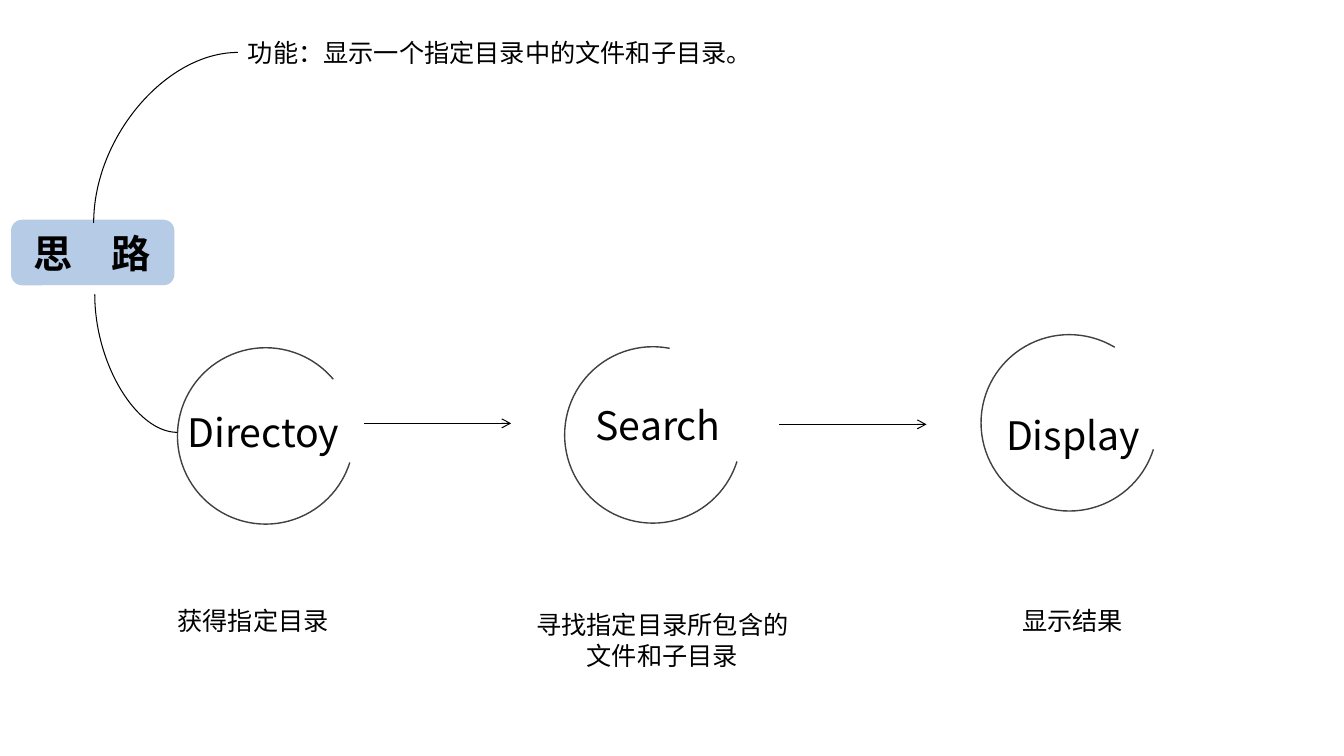
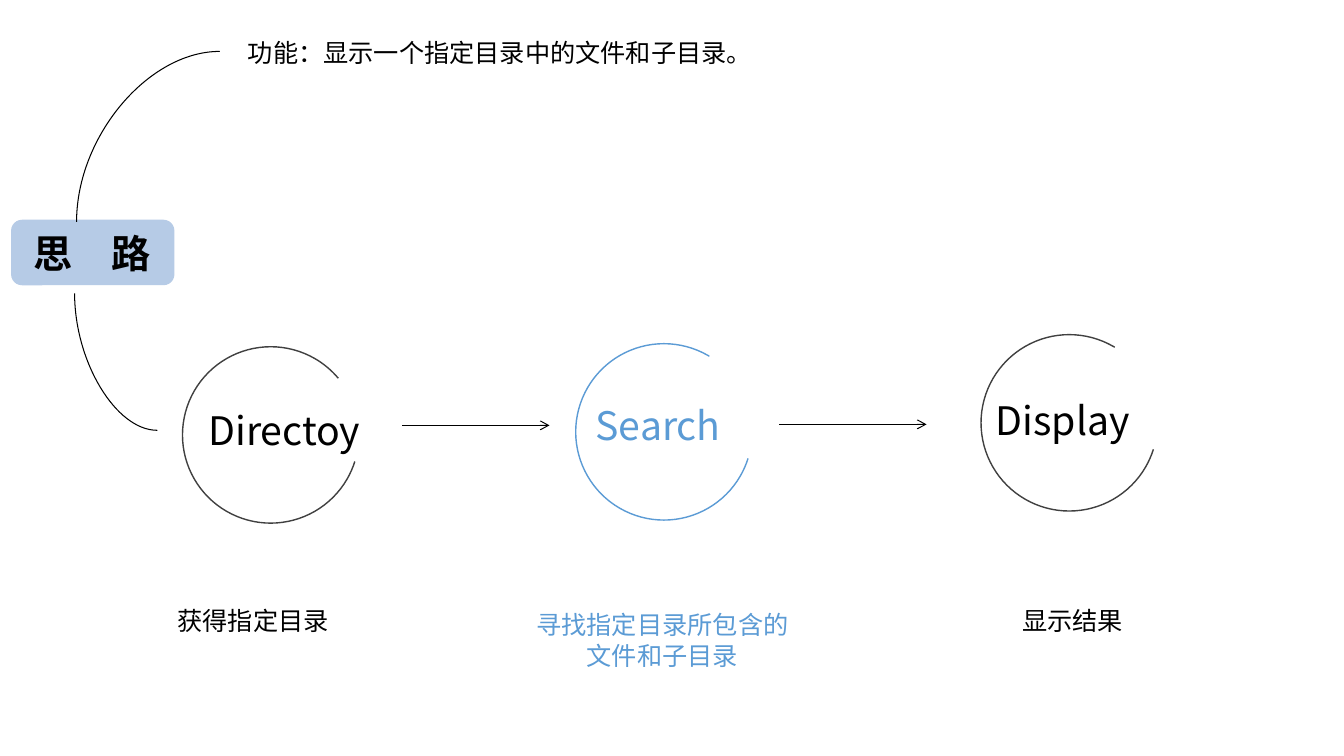
from dataclasses import dataclass

from lxml import etree
from pptx import Presentation
from pptx.dml.color import RGBColor
from pptx.enum.shapes import MSO_CONNECTOR, MSO_SHAPE
from pptx.enum.text import MSO_ANCHOR, MSO_AUTO_SIZE, PP_ALIGN
from pptx.oxml.ns import qn
from pptx.util import Inches, Pt

STRAIGHT, CURVE = MSO_CONNECTOR.STRAIGHT, MSO_CONNECTOR.CURVE
ARC, ROUNDED = MSO_SHAPE.ARC, MSO_SHAPE.ROUNDED_RECTANGLE
LEFT, CENTER = PP_ALIGN.LEFT, PP_ALIGN.CENTER
MIDDLE = MSO_ANCHOR.MIDDLE
GROW = MSO_AUTO_SIZE.SHAPE_TO_FIT_TEXT

# Square grid: 75 rows fill the height, and all lengths below count cells
WIDTH, HEIGHT = Inches(13.33), Inches(7.5)
CELL = HEIGHT / 75


@dataclass(frozen=True)
class Theme:
    black = RGBColor.from_string("000000")
    ring = RGBColor.from_string("404040")
    accent = RGBColor.from_string("5B9BD5")
    panel = RGBColor.from_string("B6CBE6")
    body_font = "Calibri"
    label_font = "Noto Sans CJK SC"
    large = Pt(28)
    small = Pt(18)
    ring_width = Pt(1)
    line_width = Pt(0.75)


THEME = Theme()
RING_SIZE = 17.5
RING_START = 17.5  # degrees, clockwise from the right
ARROW_LENGTH = 14.6
SECOND_ARROW = (77.3, 42.1)


@dataclass(frozen=True)
class Stage:
    label: str
    label_width: float
    caption: str
    caption_box: tuple


STAGES = (
    Stage("Directoy", 29.8, "获得指定目录", (16.6, 59.6, 17, 4)),
    Stage("Search", 15.4, "寻找指定目录所包含的\n文件和子目录", (52.2, 60, 27, 7)),
    Stage("Display", 18.6, "显示结果", (100.4, 59.6, 12, 4)),
)


@dataclass(frozen=True)
class Layout:
    """Places and highlight that vary from slide to slide."""
    rings: tuple      # left, top and end angle of each ring
    labels: tuple     # left and top of each label
    first_arrow: tuple
    upper_curve: tuple
    lower_curve: tuple
    highlight: str = ""


LAYOUTS = (
    Layout(
        rings=((17.6, 34.5, 320), (56, 34.4, 281), (97.3, 33.2, 301)),
        labels=((17.6, 40), (58.1, 39.3), (98.8, 40.3)),
        first_arrow=(36.1, 42),
        upper_curve=(23.6, 5.2, 9.3, 22.1),
        lower_curve=(17.6, 42.9, 9.4, 29.2),
    ),
    Layout(
        rings=((18.1, 34.4, 320), (57.1, 34.1, 301), (97.3, 33.2, 301)),
        labels=((19.7, 39.8), (58.1, 39.3), (97.8, 38.8)),
        first_arrow=(39.9, 42.2),
        upper_curve=(21.8, 5.1, 7.6, 22),
        lower_curve=(15.6, 42.7, 7.4, 29.1),
        highlight="Search",
    ),
)


def cells(*counts):
    return [round(count * CELL) for count in counts]


def format_text(text_frame, text, size, font, color, align=LEFT, bold=False):
    text_frame.text = text
    for paragraph in text_frame.paragraphs:
        paragraph.alignment = align
        for run in paragraph.runs:
            run.font.size = size
            run.font.name = font
            run.font.bold = bold
            run.font.color.rgb = color


def add_text(slide, box, text, size, font, color, align=LEFT, wrap=True):
    text_frame = slide.shapes.add_textbox(*cells(*box)).text_frame
    text_frame.word_wrap = wrap
    text_frame.auto_size = GROW
    format_text(text_frame, text, size, font, color, align)


def add_ring(slide, left, top, end_angle, color):
    ring = slide.shapes.add_shape(ARC, *cells(left, top, RING_SIZE, RING_SIZE))
    ring.shadow.inherit = False
    for index, angle in enumerate((RING_START, end_angle)):
        ring.adjustments[index] = angle * 0.6  # 60000 units a degree
    ring.fill.background()
    ring.line.color.rgb = color
    ring.line.width = THEME.ring_width


def add_line(slide, kind, ends):
    connector = slide.shapes.add_connector(kind, *cells(*ends))
    connector.line.color.rgb = THEME.black
    connector.line.width = THEME.line_width
    etree.SubElement(connector.element.spPr, qn("a:effectLst"))
    return connector


def add_arrow(slide, left, top):
    arrow = add_line(slide, STRAIGHT, (left, top, left + ARROW_LENGTH, top))
    outline = arrow.element.spPr.find(qn("a:ln"))
    etree.SubElement(outline, qn("a:tailEnd")).set("type", "arrow")


def add_quarter_curve(slide, ends):
    curve = add_line(slide, CURVE, ends)
    curve.element.spPr.find(qn("a:prstGeom")).set("prst", "curvedConnector2")


def add_topic(slide, text):
    topic = slide.shapes.add_shape(ROUNDED, *cells(1.1, 21.8, 16.2, 6.5))
    topic.shadow.inherit = False
    topic.fill.solid()
    topic.fill.fore_color.rgb = THEME.panel
    topic.line.fill.background()
    text_frame = topic.text_frame
    text_frame.margin_left, text_frame.margin_right = cells(1.9, 0)
    text_frame.vertical_anchor = MIDDLE
    format_text(text_frame, text, THEME.large, THEME.body_font,
                THEME.black, bold=True)


def add_stage(slide, stage, ring, label_place, highlighted):
    text_color = THEME.accent if highlighted else THEME.black
    add_ring(slide, *ring, THEME.accent if highlighted else THEME.ring)
    add_text(slide, (*label_place, stage.label_width, 5.7), stage.label,
             THEME.large, THEME.label_font, text_color)
    add_text(slide, stage.caption_box, stage.caption, THEME.small,
             THEME.body_font, text_color, CENTER, wrap=False)


def add_flow_slide(presentation, layout):
    slide = presentation.slides.add_slide(presentation.slide_layouts[6])
    # Stages and the arrows between them
    for stage, ring, place in zip(STAGES, layout.rings, layout.labels):
        add_stage(slide, stage, ring, place, stage.label == layout.highlight)
    for place in (layout.first_arrow, SECOND_ARROW):
        add_arrow(slide, *place)
    # Topic with its two branches
    add_topic(slide, "思\u3000路")
    add_text(slide, (23.6, 3.2, 52, 4), "功能：显示一个指定目录中的文件和子目录。",
             THEME.small, THEME.body_font, THEME.black, wrap=False)
    for ends in (layout.upper_curve, layout.lower_curve):
        add_quarter_curve(slide, ends)


def main():
    presentation = Presentation()
    presentation.slide_width, presentation.slide_height = WIDTH, HEIGHT
    for layout in LAYOUTS:
        add_flow_slide(presentation, layout)
    presentation.save("out.pptx")


main()
